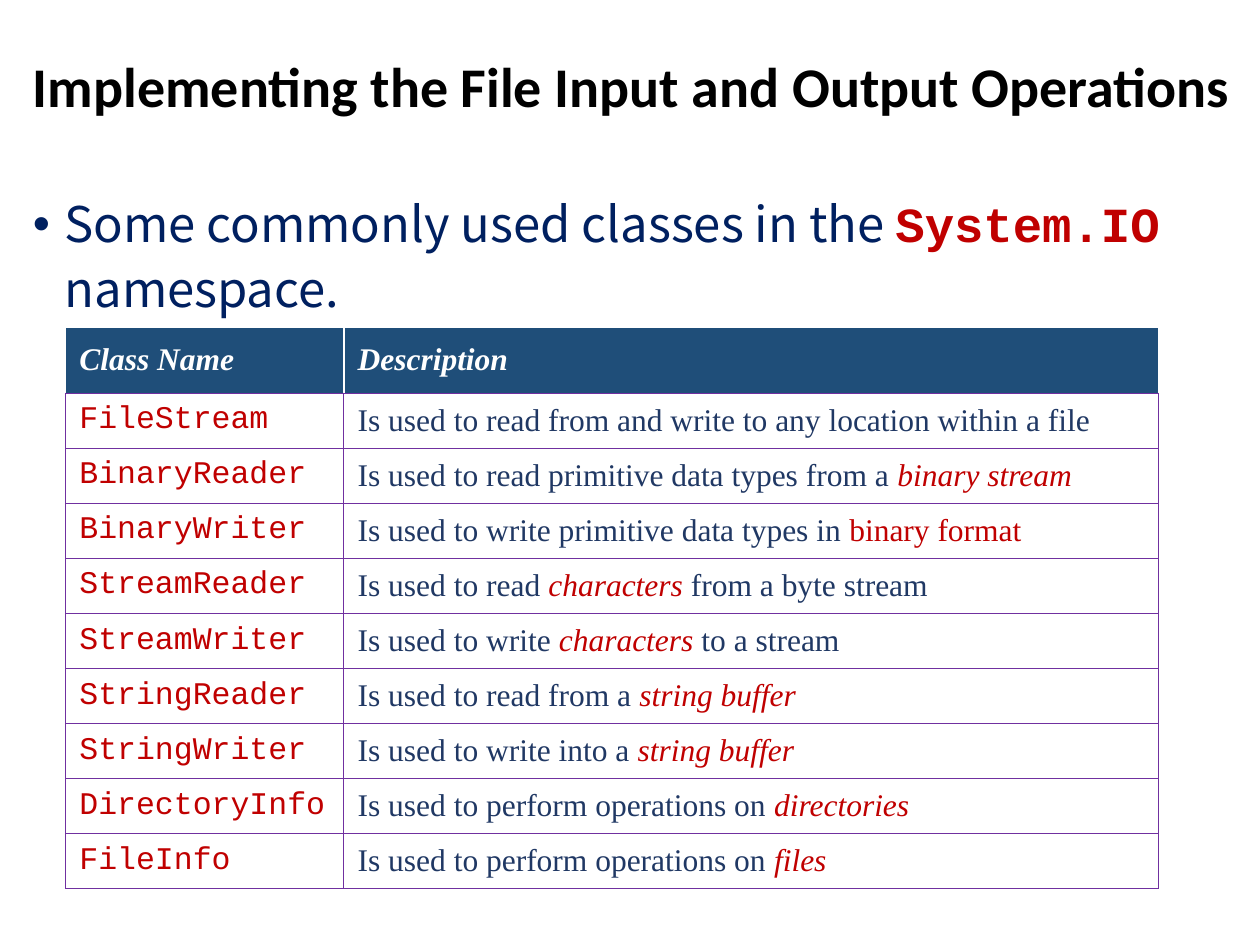
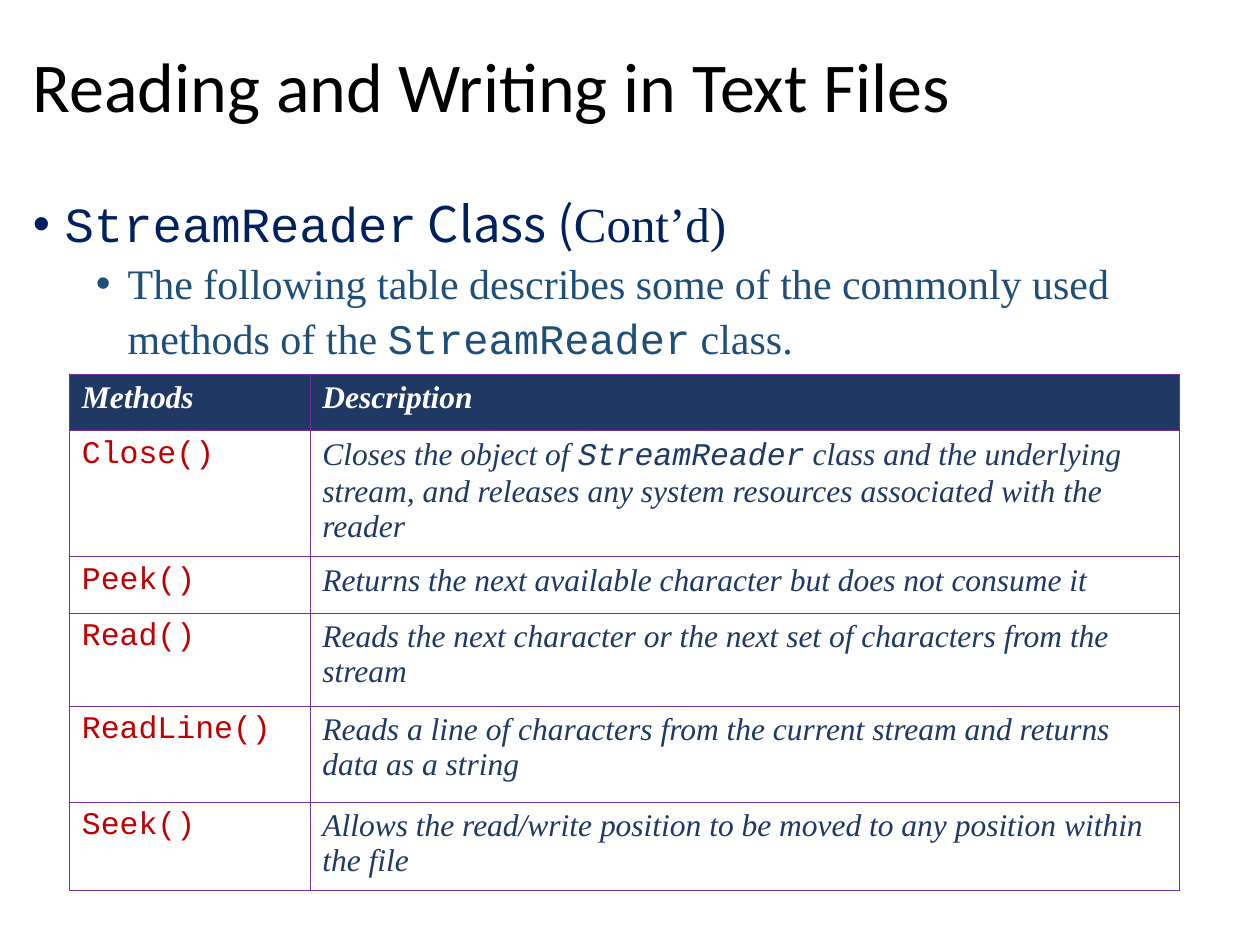
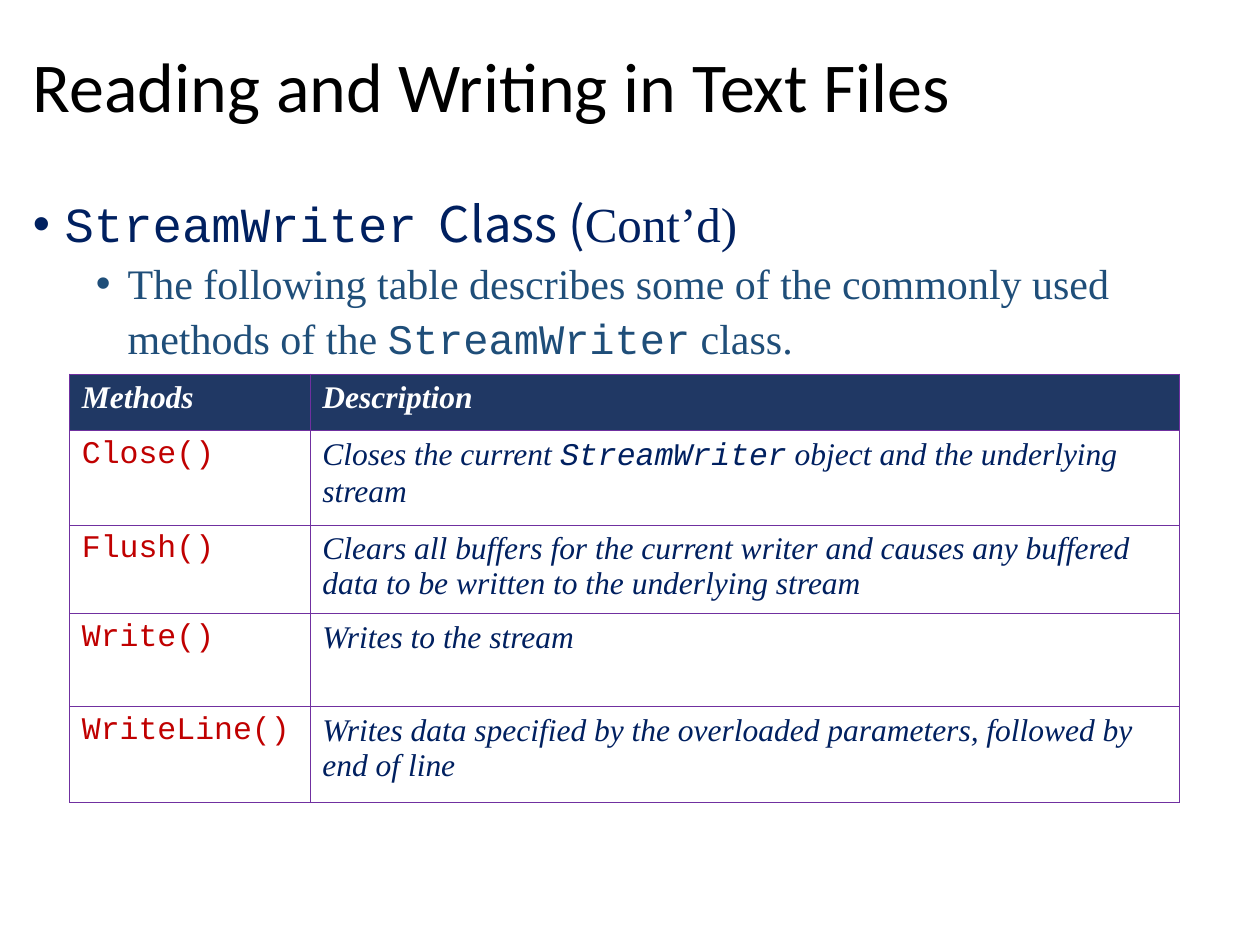
from lxml.etree import SubElement
from pptx import Presentation
from pptx.dml.color import RGBColor
from pptx.enum.text import MSO_ANCHOR, MSO_AUTO_SIZE, PP_ALIGN
from pptx.oxml.ns import qn
from pptx.util import Cm, Pt

BLACK = RGBColor(0x00, 0x00, 0x00)
WHITE = RGBColor(0xFF, 0xFF, 0xFF)
NAVY = RGBColor(0x00, 0x20, 0x60)
BLUE = RGBColor(0x1F, 0x4E, 0x79)
INK = RGBColor(0x20, 0x38, 0x64)
RED = RGBColor(0xC0, 0x00, 0x00)
PURPLE = RGBColor(0x70, 0x30, 0xA0)

SANS, HEAD, MONO, SERIF = "Noto Sans CJK SC", "Calibri", "Courier New", "Times New Roman"

HEADER = dict(name=SERIF, color=WHITE, bold=True, italic=True)
CODE = dict(name=MONO, color=RED)
PLAIN = dict(name=SERIF, color=INK)
KEY = dict(name=SERIF, color=RED)
KEY_ITALIC = dict(KEY, italic=True)
READER = dict(name=SERIF, color=INK, italic=True)
WRITER = dict(name=SERIF, color=NAVY, italic=True)

TITLE_BOX = (0.41, 0.28, 24.74, 3.05)
BODY_BOX = (0.41, 3.66, 24.74, 15.01)
LEVELS = [
    dict(size=28, color=NAVY, left=0.64),
    dict(size=24, color=BLUE, left=1.91),
]
HANGING = 0.64

CLASS_TABLE = dict(
    at=(1.32, 6.6), cols=(5.61, 16.43), rows=(1.32,) + (1.11,) * 9,
    head_fill=BLUE, fill=WHITE, head_edges="B", anchor=MSO_ANCHOR.MIDDLE,
    margin=0.18, indent=0.1, before=6, head_after=7, after=4,
)
METHOD_TABLE = dict(
    at=(1.4, 7.54), cols=(4.85, 17.53),
    head_fill=INK, fill=None, head_edges="LRTB", anchor=MSO_ANCHOR.TOP,
    margin=0.25, indent=0, before=0, head_after=0, after=0,
)


def method_lead(name, class_text):
    return [
        (0, [(name, dict(name=MONO)), (class_text, dict(name=SANS)),
             ("Cont’d)", dict(name=SERIF))]),
        (1, [("The following table describes some of the commonly used methods of the ",
              dict(name=SERIF)),
             (name, dict(name=MONO)), (" class.", dict(name=SERIF))]),
    ]


SLIDES = [
    dict(
        title="Implementing the File Input and Output Operations",
        title_font=dict(size=32, bold=True),
        body=[(0, [("Some commonly used classes in the ", dict(name=SANS)),
                   ("System.IO", dict(name=MONO, color=RED, bold=True)),
                   (" namespace.", dict(name=SANS))])],
        table=CLASS_TABLE,
        heads=("Class Name", "Description"),
        entries=[
            ("FileStream",
             [("Is used to read from and write to any location within a file", PLAIN)]),
            ("BinaryReader", [("Is used to read primitive data types from a ", PLAIN),
                              ("binary stream", KEY_ITALIC)]),
            ("BinaryWriter", [("Is used to write primitive data types in ", PLAIN),
                              ("binary format", KEY)]),
            ("StreamReader", [("Is used to read ", PLAIN), ("characters", KEY_ITALIC),
                              (" from a byte stream", PLAIN)]),
            ("StreamWriter", [("Is used to write ", PLAIN), ("characters", KEY_ITALIC),
                              (" to a stream", PLAIN)]),
            ("StringReader", [("Is used to read from a ", PLAIN),
                              ("string buffer", KEY_ITALIC)]),
            ("StringWriter", [("Is used to write into a ", PLAIN),
                              ("string buffer", KEY_ITALIC)]),
            ("DirectoryInfo", [("Is used to perform operations on ", PLAIN),
                               ("directories", KEY_ITALIC)]),
            ("FileInfo", [("Is used to perform operations on ", PLAIN),
                          ("files", KEY_ITALIC)]),
        ],
    ),
    dict(
        title="Reading and Writing in Text Files",
        title_font=dict(size=40, bold=False),
        body=method_lead("StreamReader", " Class ("),
        table=dict(METHOD_TABLE, rows=(1.14, 2.54, 1.14, 1.88, 1.93, 1.78)),
        heads=("Methods", "Description"),
        entries=[
            ("Close()", [("Closes the object of ", READER),
                         ("StreamReader", dict(READER, name=MONO)),
                         (" class and the underlying stream, and releases any system "
                          "resources associated with the reader", READER)]),
            ("Peek()",
             [("Returns the next available character but does not consume it", READER)]),
            ("Read()", [("Reads the next character or the next set of characters "
                         "from the stream", READER)]),
            ("ReadLine()", [("Reads a line of characters from the current stream and "
                             "returns data as a string", READER)]),
            ("Seek()", [("Allows the read/write position to be moved to any position "
                         "within the file", READER)]),
        ],
    ),
    dict(
        title="Reading and Writing in Text Files",
        title_font=dict(size=40, bold=False),
        body=method_lead("StreamWriter", "  Class ("),
        table=dict(METHOD_TABLE, rows=(1.14, 1.91, 1.78, 1.88, 1.93)),
        heads=("Methods", "Description"),
        entries=[
            ("Close()", [("Closes the current ", WRITER),
                         ("StreamWriter", dict(WRITER, name=MONO)),
                         (" object and the underlying stream", WRITER)]),
            ("Flush()", [("Clears all buffers for the current writer and causes any "
                          "buffered data to be written to the underlying stream", WRITER)]),
            ("Write()", [("Writes to the stream", WRITER)]),
            ("WriteLine()", [("Writes data specified by the overloaded parameters, "
                              "followed by end of line", WRITER)]),
        ],
    ),
]


def set_all(obj, **values):
    for key, value in values.items():
        setattr(obj, key, value)


def add_runs(p, runs, **base):
    for text, style in runs:
        r = p.add_run()
        r.text = text
        font = dict(base, **style)
        r.font.color.rgb = font.pop("color")
        font["size"] = Pt(font["size"])
        set_all(r.font, **font)


def place(sp, box, anchor):
    set_all(sp, **dict(zip(("left", "top", "width", "height"), map(Cm, box))))
    set_all(sp.text_frame, word_wrap=True, auto_size=MSO_AUTO_SIZE.NONE,
            vertical_anchor=anchor)
    return sp.text_frame


def add_bullet(p, color, left):
    pPr = p._p.get_or_add_pPr()
    pPr.set("marL", str(Cm(left)))
    pPr.set("indent", str(-Cm(HANGING)))
    SubElement(SubElement(pPr, qn("a:buClr")), qn("a:srgbClr"), val=str(color))
    SubElement(pPr, qn("a:buFont"), typeface="Arial")
    SubElement(pPr, qn("a:buChar"), char="•")


def add_body(sp, paragraphs):
    tf = place(sp, BODY_BOX, MSO_ANCHOR.TOP)
    for i, (level, runs) in enumerate(paragraphs):
        p = tf.add_paragraph() if i else tf.paragraphs[0]
        look = LEVELS[level]
        set_all(p, level=level, line_spacing=1.1, space_before=Pt(0), space_after=Pt(0))
        add_bullet(p, look["color"], look["left"])
        add_runs(p, runs, size=look["size"], color=look["color"])


def add_borders(cell, edges):
    tcPr = cell._tc.get_or_add_tcPr()
    for edge in edges:
        ln = SubElement(tcPr, qn(f"a:ln{edge}"), w=str(Pt(0.45)))
        SubElement(SubElement(ln, qn("a:solidFill")), qn("a:srgbClr"), val=str(PURPLE))


def fill_cell(cell, runs, look, is_head):
    add_borders(cell, look["head_edges"] if is_head else "LRTB")
    color = look["head_fill"] if is_head else look["fill"]
    if color is None:
        cell.fill.background()
    else:
        cell.fill.solid()
        cell.fill.fore_color.rgb = color
    side, edge = Cm(look["margin"]), Cm(0.13)
    set_all(cell, vertical_anchor=look["anchor"], margin_left=side, margin_right=side,
            margin_top=edge, margin_bottom=edge)
    p = cell.text_frame.paragraphs[0]
    set_all(p, space_before=Pt(look["before"]),
            space_after=Pt(look["head_after" if is_head else "after"]))
    p._p.get_or_add_pPr().set("marL", str(Cm(look["indent"])))
    add_runs(p, runs, size=18, bold=False, italic=False)


def add_grid(s, look, heads, entries):
    cols, rows = look["cols"], look["rows"]
    box = (*look["at"], sum(cols), sum(rows))
    table = s.shapes.add_table(len(rows), len(cols), *map(Cm, box)).table
    set_all(table, first_row=False, horz_banding=False)
    for col, width in zip(table.columns, cols):
        col.width = Cm(width)
    for row, height in zip(table.rows, rows):
        row.height = Cm(height)
    lines = [[[(head, HEADER)] for head in heads]]
    lines += [[[(name, CODE)], runs] for name, runs in entries]
    for y, line in enumerate(lines):
        for x, runs in enumerate(line):
            fill_cell(table.cell(y, x), runs, look, y == 0)


def main():
    """Build the three slides on file classes and save them."""
    prs = Presentation()
    set_all(prs, slide_width=Cm(25.4), slide_height=Cm(19.05))
    for page in SLIDES:
        s = prs.slides.add_slide(prs.slide_layouts[1])
        p = place(s.shapes.title, TITLE_BOX, MSO_ANCHOR.MIDDLE).paragraphs[0]
        set_all(p, alignment=PP_ALIGN.LEFT, line_spacing=0.9)
        add_runs(p, [(page["title"], page["title_font"])], name=HEAD, color=BLACK)
        add_body(s.placeholders[1], page["body"])
        add_grid(s, page["table"], page["heads"], page["entries"])
    prs.save("out.pptx")


if __name__ == "__main__":
    main()
